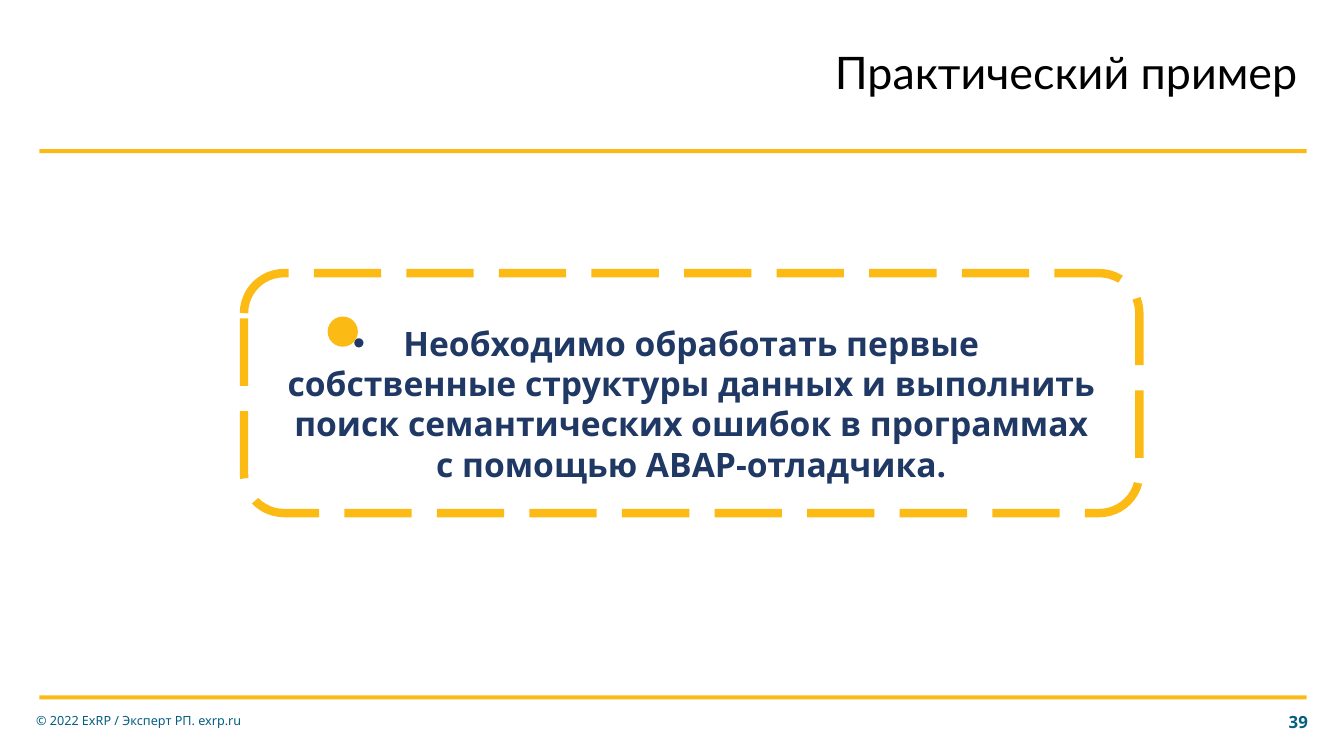
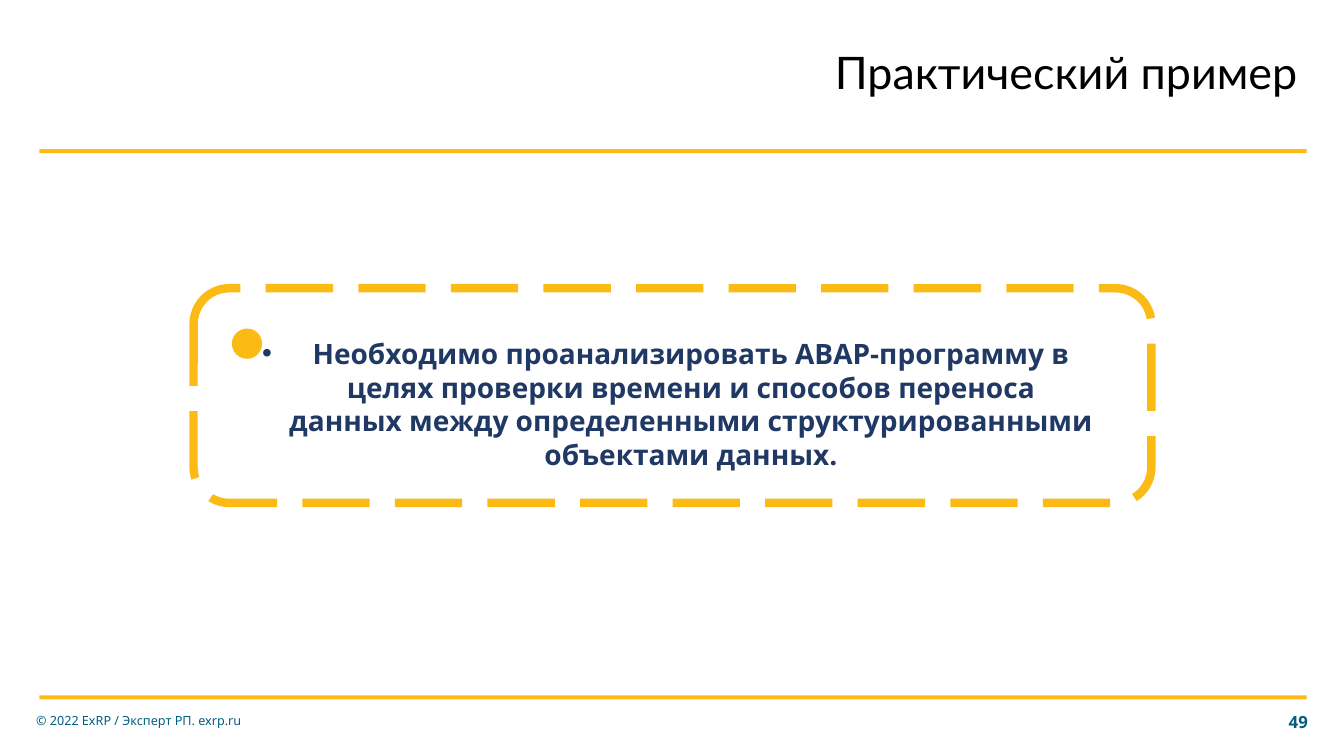
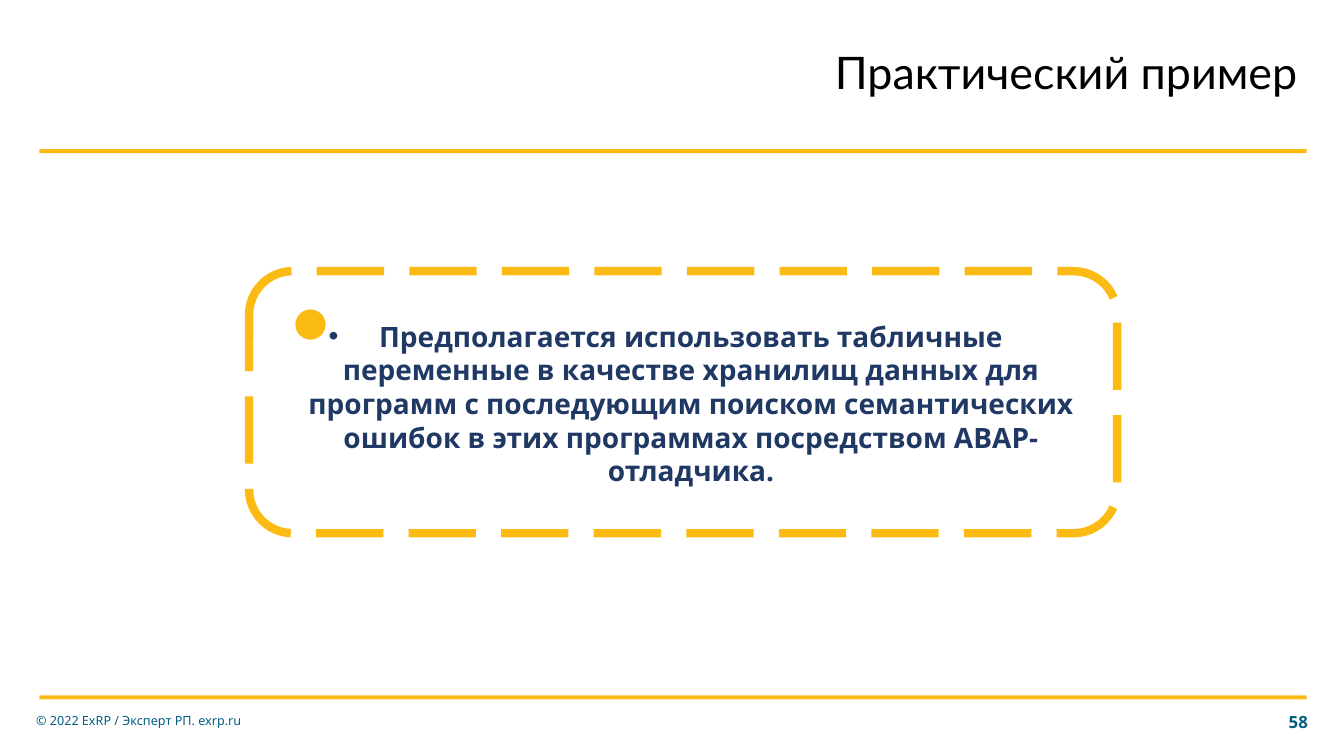
import pptx
import pptx.util
import pptx.dml.color
import pptx.enum.dml
import pptx.enum.shapes
import pptx.enum.text
import pptx.oxml
from pptx.oxml.ns import nsdecls

Inches, Pt = pptx.util.Inches, pptx.util.Pt
ALIGN = pptx.enum.text.PP_ALIGN
SHAPE = pptx.enum.shapes.MSO_SHAPE

YELLOW, TEAL, NAVY, BLACK = "FCBA14", "055E80", "203864", "000000"
TITLE_FONT, BODY_FONT = "Lato", "Noto Sans"
TITLE = "Практический пример"
FOOTER = "© 2022 ExRP / Эксперт РП. exrp.ru"
RULE_TOPS = (1.48, 6.9)
TASK_LEFT, TASK_WIDTH = 2.25, 8.61
DOT_SIZE = 0.3

SLIDES = [
    dict(number="39", size=24, task_top=3.14, task_height=1.72,
         frame=(2.42, 2.71, 8.88, 2.38), dot=(3.25, 3.14),
         task="Необходимо обработать первые собственные структуры данных и выполнить "
              "поиск семантических ошибок в программах с помощью ABAP-отладчика."),
    dict(number="49", size=20, task_top=3.28, task_height=1.45,
         frame=(1.92, 2.86, 9.5, 2.13), dot=(2.3, 3.26),
         task="Необходимо проанализировать ABAP-программу в целях проверки времени и "
              "способов переноса данных между определенными структурированными "
              "объектами данных."),
    dict(number="58", size=20, task_top=3.11, task_height=1.78,
         frame=(2.47, 2.69, 8.61, 2.6), dot=(2.93, 3.07),
         task="Предполагается использовать табличные переменные в качестве хранилищ "
              "данных для программ с последующим поиском семантических ошибок в этих "
              "программах посредством ABAP-отладчика."),
]


def rgb(color):
    return pptx.dml.color.RGBColor.from_string(color)


def add_shape(slide, kind, box, fill=None):
    sp = slide.shapes.add_shape(kind, *map(Inches, box))
    sp.shadow.inherit = False
    sp.line.fill.background()
    if fill:
        sp.fill.solid()
        sp.fill.fore_color.rgb = rgb(fill)
    else:
        sp.fill.background()
    return sp


def add_text(slide, box, text, size, color, font=BODY_FONT, bold=False,
             align=ALIGN.LEFT, insets=(0.1, 0.05, 0.1, 0.05), grow=False,
             spacing=None, bullet=False):
    """Add a one-paragraph text box; insets run left, top, right, bottom."""
    tf = slide.shapes.add_textbox(*map(Inches, box)).text_frame
    tf.word_wrap = True
    tf.vertical_anchor = pptx.enum.text.MSO_ANCHOR.MIDDLE
    if grow:
        tf.auto_size = pptx.enum.text.MSO_AUTO_SIZE.SHAPE_TO_FIT_TEXT
    tf.margin_left, tf.margin_top, tf.margin_right, tf.margin_bottom = map(Inches, insets)
    p = tf.paragraphs[0]
    p.alignment = align
    if spacing:
        p.line_spacing = spacing
    if bullet:
        add_bullet(p)
    r = p.add_run()
    r.text = text
    r.font.name, r.font.size, r.font.bold = font, Pt(size), bold
    r.font.color.rgb = rgb(color)


def add_bullet(p, indent=0.5):
    pPr = p._p.get_or_add_pPr()
    pPr.set("marL", str(Inches(indent)))
    pPr.set("indent", str(-Inches(indent)))
    for tag in ('buFont %s typeface="Arial"', 'buChar %s char="•"'):
        pPr.append(pptx.oxml.parse_xml("<a:" + tag % nsdecls("a") + "/>"))


def add_base(slide, number):
    """Draw the rules, page number, footer and title that every slide has."""
    for top in RULE_TOPS:
        add_shape(slide, SHAPE.RECTANGLE, (0.39, top, 12.57, 0.04), YELLOW)
    add_text(slide, (12.42, 6.96, 0.65, 0.4), number, 12, TEAL, bold=True, align=ALIGN.RIGHT)
    add_text(slide, (0.26, 6.95, 2.85, 0.4), FOOTER, 9, TEAL)
    add_text(slide, (7.39, 0.49, 5.58, 0.55), TITLE, 32, BLACK, font=TITLE_FONT,
             align=ALIGN.RIGHT, insets=(0, 0, 0.1, 0.05), grow=True, spacing=0.9)


def add_task(slide, content):
    box = (TASK_LEFT, content["task_top"], TASK_WIDTH, content["task_height"])
    add_text(slide, box, content["task"], content["size"], NAVY, bold=True,
             align=ALIGN.CENTER, insets=(0.1, 0.05, 0, 0.05), grow=True, bullet=True)
    frame = add_shape(slide, SHAPE.ROUNDED_RECTANGLE, content["frame"])
    frame.line.color.rgb = rgb(YELLOW)
    frame.line.width = Pt(6)
    frame.line.dash_style = pptx.enum.dml.MSO_LINE.LONG_DASH
    add_shape(slide, SHAPE.OVAL, (*content["dot"], DOT_SIZE, DOT_SIZE), YELLOW)


def main():
    prs = pptx.Presentation()
    prs.slide_width, prs.slide_height = Inches(13.33), Inches(7.5)
    for content in SLIDES:
        slide = prs.slides.add_slide(prs.slide_layouts[6])
        add_base(slide, content["number"])
        add_task(slide, content)
    prs.save("out.pptx")


if __name__ == "__main__":
    main()
